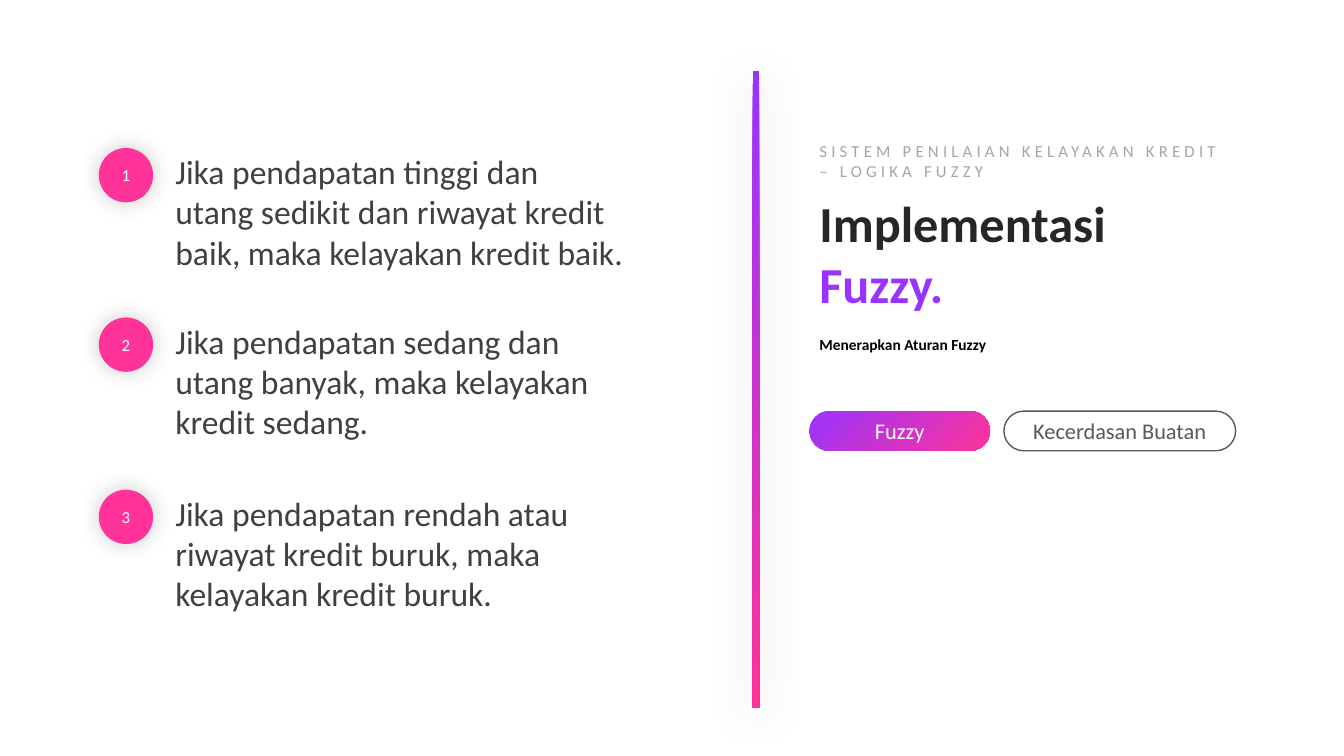
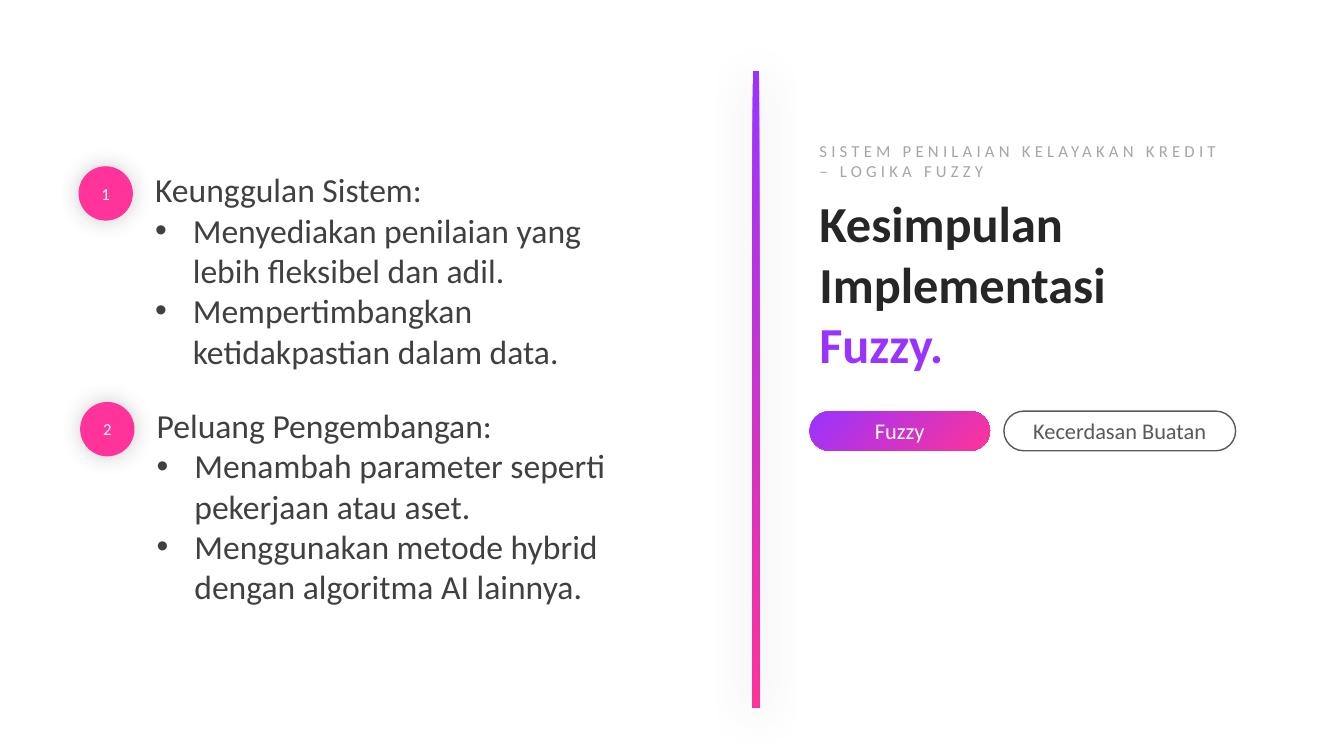
from pptx import Presentation
from pptx.dml.color import RGBColor
from pptx.enum.shapes import MSO_SHAPE
from pptx.enum.text import MSO_ANCHOR, PP_ALIGN
from pptx.oxml.ns import qn
from pptx.util import Cm, Pt
from lxml import etree

ROUND, OVAL = MSO_SHAPE.ROUNDED_RECTANGLE, MSO_SHAPE.OVAL
MIDDLE, TOP, CENTER = MSO_ANCHOR.MIDDLE, MSO_ANCHOR.TOP, PP_ALIGN.CENTER

# Content: each item is left, top, text height, lead line, bullets
KICKER = "SISTEM PENILAIAN KELAYAKAN KREDIT – LOGIKA FUZZY"
TAGS = ["Fuzzy", "Kecerdasan Buatan"]
SLIDES = [
    {
        "title": ["Implementasi", "Fuzzy."],
        "note": "Menerapkan Aturan Fuzzy",
        "items": [
            (2.49, 3.73, 3.33, "Jika pendapatan tinggi dan utang sedikit dan "
             "riwayat kredit baik, maka kelayakan kredit baik.", []),
            (2.49, 8.0, 3.33, "Jika pendapatan sedang dan utang banyak, "
             "maka kelayakan kredit sedang.", []),
            (2.49, 12.34, 3.33, "Jika pendapatan rendah atau riwayat kredit "
             "buruk, maka kelayakan kredit buruk.", []),
        ],
    },
    {
        "title": ["Kesimpulan", "Implementasi", "Fuzzy."],
        "note": None,
        "items": [
            (1.98, 4.19, 5.38, "Keunggulan Sistem:",
             ["Menyediakan penilaian yang lebih fleksibel dan adil.",
              "Mempertimbangkan ketidakpastian dalam data."]),
            (2.02, 10.13, 5.38, "Peluang Pengembangan:",
             ["Menambah parameter seperti pekerjaan atau aset.",
              "Menggunakan metode hybrid dengan algoritma AI lainnya."]),
        ],
    },
]


class Theme:
    font = "Calibri"
    purple, pink, white = "9933FF", "FF3399", "FFFFFF"
    title, body, tag, kicker, note = "262626", "404040", "595959", "A6A6A6", "000000"
    shade = "808080"
    title_pt, body_pt, tag_pt, small_pt, note_pt = 36, 24, 16, 12, 11


# Layout in centimetres
LEFT, WIDE = 20.4, 11.81
DOT, GAP = 1.37, 0.31
PILL_Y, PILL_H, PILL_GAP = 10.36, 1.0, 0.35
PILL_W = [4.55, 5.84]


def rgb(code):
    return RGBColor.from_string(code)


def blend(fill):
    fill.gradient()
    fill.gradient_angle = 315
    for stop, code in zip(fill.gradient_stops, (Theme.purple, Theme.pink)):
        stop.color.rgb = rgb(code)


def style(par, size, color, bold=False):
    for run in par.runs:
        font = run.font
        font.name, font.size, font.bold = Theme.font, Pt(size), bold
        font.color.rgb = rgb(color)


def write(slide, x, y, w, h, lines, size, color, bold=False):
    box = slide.shapes.add_textbox(Cm(x), Cm(y), Cm(w), Cm(h))
    frame = box.text_frame
    frame.word_wrap = True
    frame.vertical_anchor = TOP
    frame.text = "\n".join(lines)
    for par in frame.paragraphs:
        style(par, size, color, bold)
    return frame.paragraphs


def draw(slide, kind, x, y, w, h):
    shape = slide.shapes.add_shape(kind, Cm(x), Cm(y), Cm(w), Cm(h))
    shape.shadow.inherit = False
    shape.line.fill.background()
    return shape


def label(shape, text, size, color):
    frame = shape.text_frame
    frame.margin_left = frame.margin_right = 0
    frame.margin_top = frame.margin_bottom = 0
    frame.vertical_anchor = MIDDLE
    frame.text = text
    frame.paragraphs[0].alignment = CENTER
    style(frame.paragraphs[0], size, color)


def shade(shape, blur, dist, angle):
    effects = shape._element.spPr.find(qn("a:effectLst"))
    outer = etree.SubElement(
        effects, qn("a:outerShdw"), blurRad=str(Pt(blur)), dist=str(Pt(dist)),
        dir=str(angle * 60000), algn="ctr", rotWithShape="0")
    color = etree.SubElement(outer, qn("a:srgbClr"), val=Theme.shade)
    etree.SubElement(color, qn("a:alpha"), val="40000")


def bullet(par):
    props = par._p.get_or_add_pPr()
    props.set("marL", str(Cm(0.95)))
    props.set("indent", str(-Cm(0.95)))
    etree.SubElement(props, qn("a:buFont"), typeface="Arial")
    etree.SubElement(props, qn("a:buChar"), char="•")


# Right side and divider
def panel(slide, title, note):
    lines = write(slide, LEFT, 4.72, WIDE, 1.65 * len(title), title,
                  Theme.title_pt, Theme.title, True)
    blend(lines[-1].runs[0].font.fill)
    head = write(slide, LEFT, 3.43, 10.74, 1.27, [KICKER],
                 Theme.small_pt, Theme.kicker)
    head[0].runs[0].font._element.set("spc", "300")
    if note:
        write(slide, LEFT, 8.33, WIDE, 1.19, [note],
              Theme.note_pt, Theme.note, True)

    x = LEFT
    for i, (text, w) in enumerate(zip(TAGS, PILL_W)):
        pill = draw(slide, ROUND, x, PILL_Y, w, PILL_H)
        pill.adjustments[0] = 0.5
        if i == 0:
            blend(pill.fill)
        else:
            pill.fill.background()
            pill.line.color.rgb = rgb(Theme.tag)
            pill.line.width = Pt(1)
        label(pill, text, Theme.tag_pt, Theme.tag if i else Theme.white)
        x += w + PILL_GAP

    bar = draw(slide, ROUND, 18.97, 1.8, 0.16, 16.03)
    bar.adjustments[0] = 0
    blend(bar.fill)
    shade(bar, 30, 5, 90)


# Numbered point on the left side
def point(slide, num, x, y, h, lead, subs):
    pars = write(slide, x + DOT + GAP, y - 0.05, WIDE, h, [lead] + subs,
                 Theme.body_pt, Theme.body)
    for par in pars[1:]:
        bullet(par)
    dot = draw(slide, OVAL, x, y, DOT, DOT)
    dot.fill.solid()
    dot.fill.fore_color.rgb = rgb(Theme.pink)
    shade(dot, 15, 0, 0)
    label(dot, str(num), Theme.small_pt, Theme.white)


def main():
    deck = Presentation()
    deck.slide_width, deck.slide_height = Cm(33.87), Cm(19.05)
    for page in SLIDES:
        slide = deck.slides.add_slide(deck.slide_layouts[6])
        panel(slide, page["title"], page["note"])
        for num, item in enumerate(page["items"], 1):
            point(slide, num, *item)
    deck.save("out.pptx")


if __name__ == "__main__":
    main()
